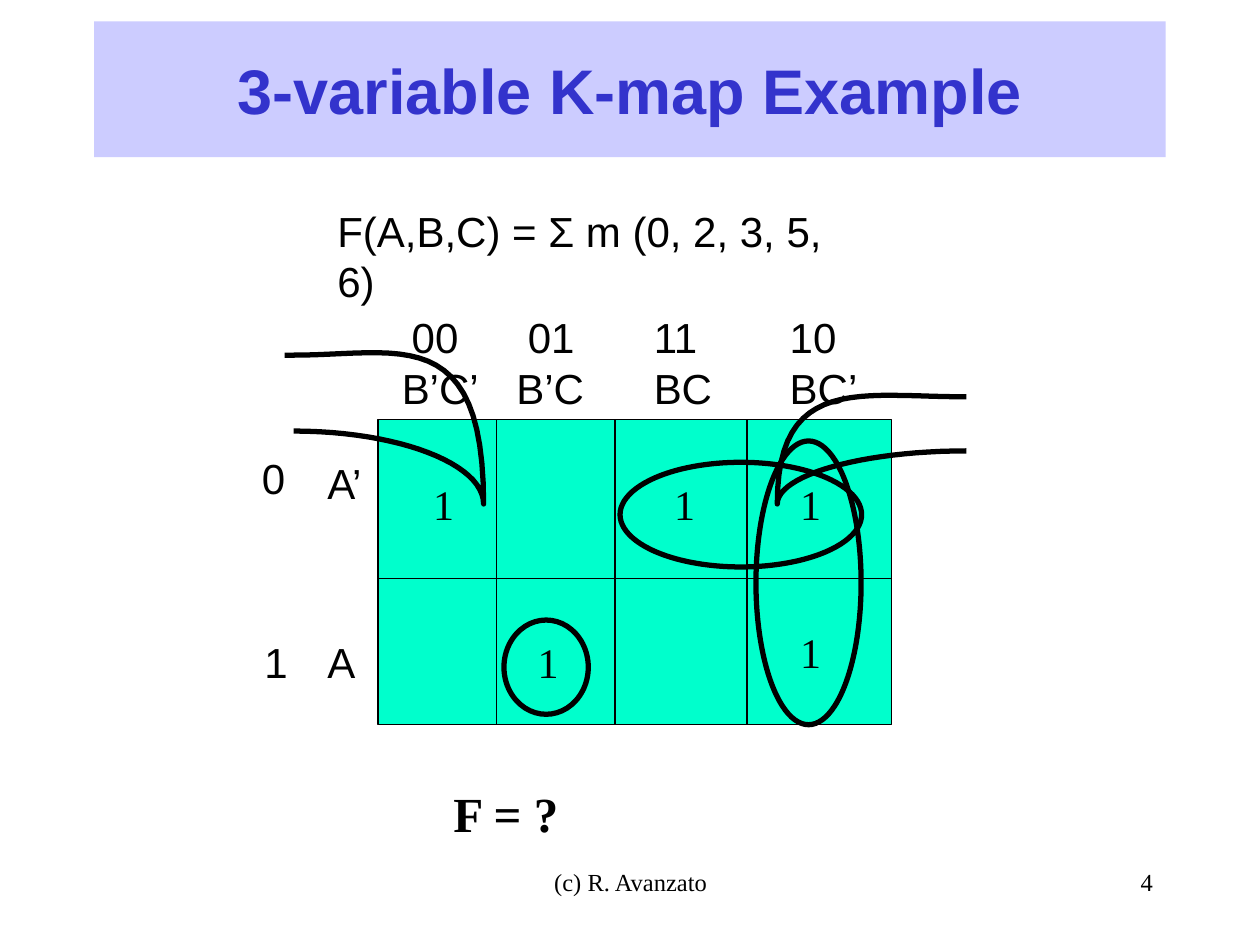
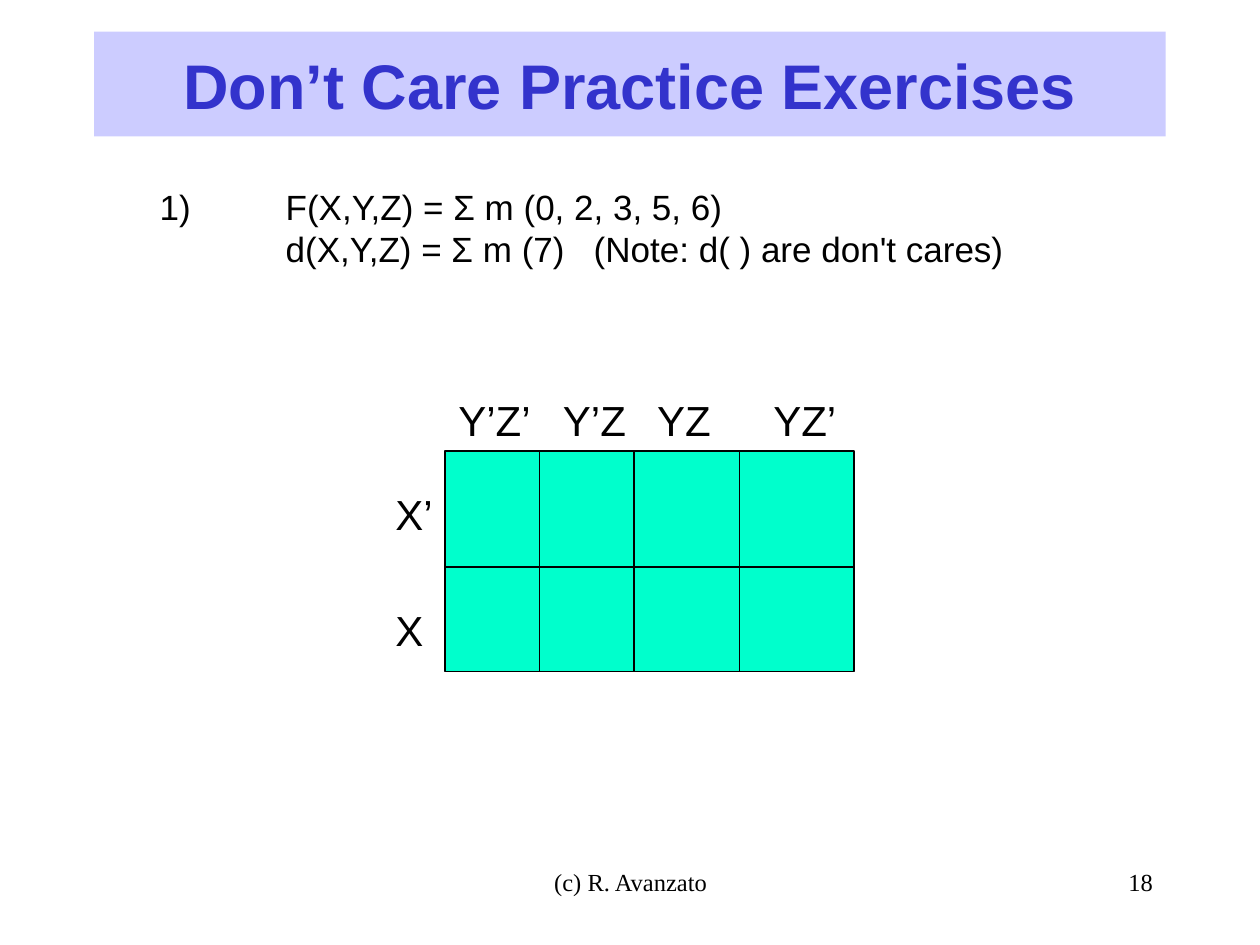
from lxml.etree import SubElement
from pptx import Presentation
from pptx.dml.color import RGBColor
from pptx.enum.shapes import MSO_CONNECTOR as CONN, MSO_SHAPE as SHAPE
from pptx.enum.text import MSO_ANCHOR as ANCHOR, PP_ALIGN as ALIGN
from pptx.oxml.ns import qn
from pptx.util import Cm, Pt

rgb = RGBColor.from_string
BLACK, BAND, TITLE, GRID = "000000", "CCCCFF", "3333CC", "00FFCC"
SANS, SERIF = "Arial", "Times New Roman"


def outline(sp, width, fill=None):
    sp.shadow.inherit = False
    if fill:
        sp.fill.solid()
        sp.fill.fore_color.rgb = rgb(fill)
    else:
        sp.fill.background()
    sp.line.color.rgb = rgb(BLACK)
    sp.line.width = Pt(width)


def add_text(s, text, x, y, w, h=1.27, size=24, font=SANS, color=BLACK, bold=False,
             align=ALIGN.LEFT, anchor=ANCHOR.TOP, wrap=False, fill=None, tabs=()):
    sp = s.shapes.add_textbox(Cm(x), Cm(y), Cm(w), Cm(h))
    if fill:
        sp.fill.solid()
        sp.fill.fore_color.rgb = rgb(fill)
    tf = sp.text_frame
    tf.word_wrap = wrap
    tf.vertical_anchor = anchor
    if not wrap:
        tf.margin_right = 0
    for i, line in enumerate(text.split("\n")):
        p = tf.paragraphs[0] if i == 0 else tf.add_paragraph()
        p.alignment = align
        r = p.add_run()
        r.text = line
        r.font.size = Pt(size)
        r.font.name = font
        r.font.bold = bold
        r.font.color.rgb = rgb(color)
        if tabs:
            tab_list = SubElement(p._p.get_or_add_pPr(), qn("a:tabLst"))
            for pos in tabs:
                SubElement(tab_list, qn("a:tab"), pos=str(Cm(pos)), algn="l")


prs = Presentation()
prs.slide_width, prs.slide_height = Cm(25.4), Cm(19.05)

pages = [
    ("3-variable K-map Example", "4", 0.43, 2.74,
     [7.62, 10.01, 12.4, 15.06, 17.98], [8.46, 11.66, 14.6]),
    ("Don’t Care Practice Exercises", "18", 0.64, 2.11,
     [8.97, 10.87, 12.78, 14.91, 17.22], [9.09, 11.43, 13.54]),
]
slides = []
for title, number, top, height, xs, ys in pages:
    s = prs.slides.add_slide(prs.slide_layouts[6])
    slides.append(s)
    add_text(s, "(c) R. Avanzato", 8.69, 17.35, 8.05, size=14, font=SERIF,
             align=ALIGN.CENTER, wrap=True)
    add_text(s, number, 18.21, 17.35, 5.28, size=14, font=SERIF,
             align=ALIGN.RIGHT, wrap=True)
    add_text(s, title, 1.9, top, 21.6, height, size=36, color=TITLE, bold=True,
             align=ALIGN.CENTER, anchor=ANCHOR.MIDDLE, wrap=True, fill=BAND)

    left, right, upper, lower = xs[0], xs[-1], ys[0], ys[-1]
    sp = s.shapes.add_shape(SHAPE.RECTANGLE, Cm(left), Cm(upper),
                            Cm(right - left), Cm(lower - upper))
    outline(sp, 0.75, GRID)
    rules = [(left, y, right, y) for y in ys[1:-1]]
    rules += [(x, upper, x, lower) for x in xs[1:-1]]
    for ends in rules:
        cx = s.shapes.add_connector(CONN.STRAIGHT, *[Cm(v) for v in ends])
        cx.line.color.rgb = rgb(BLACK)
        cx.line.width = Pt(0.75)
        SubElement(cx._element.spPr, qn("a:effectLst"))

kmap, practice = slides

add_text(kmap, "F(A,B,C) = Σ m (0, 2, 3, 5, 6)", 6.55, 4.01, 11.23, wrap=True)
add_text(kmap, "F = ?", 8.89, 15.67, 2.64, 1.45, size=28, font=SERIF, bold=True)

columns = [("00", 8.05, "B’C’", 7.85, 2.06), ("01", 10.39, "B’C", 10.16, 1.85),
           ("11", 12.93, "BC", 12.93, 1.68), ("10", 15.67, "BC’", 15.67, 1.85)]
for bits, bits_x, term, term_x, term_w in columns:
    add_text(kmap, bits, bits_x, 6.15, 1.45)
    add_text(kmap, term, term_x, 7.19, term_w)
for text, x, y, w in [("0", 5.03, 8.99, 0.97), ("A’", 6.35, 9.09, 1.24),
                      ("1", 5.08, 12.7, 0.97), ("A", 6.35, 12.7, 1.07)]:
    add_text(kmap, text, x, y, w)

minterms = [(8.48, 9.53), (13.34, 9.53), (15.88, 9.53), (10.59, 12.7), (15.88, 12.5)]
for x, y in minterms:
    add_text(kmap, "1", x, y, 0.91, font=SERIF)

loops = [(10.16, 12.5, 1.7, 1.9), (12.5, 9.32, 4.87, 2.11), (15.24, 8.89, 2.12, 5.72)]
for box in loops:
    outline(kmap.shapes.add_shape(SHAPE.OVAL, *[Cm(v) for v in box]), 3)

wraparounds = [
    [((5.92, 8.69), (8.03, 8.69), (9.75, 9.35), (9.75, 10.16)),
     ((9.75, 10.16), (9.75, 6.48), (8.03, 7.16), (5.92, 7.16)),
     ((5.92, 7.16), (5.87, 7.16), (5.82, 7.16), (5.74, 7.16))],
    [((19.48, 9.09), (17.37, 9.09), (15.67, 9.58), (15.67, 10.16)),
     ((15.67, 10.16), (15.67, 7.54), (17.37, 8), (19.48, 8))],
]
STEPS = 24
for curves in wraparounds:
    points = []
    for curve in curves:
        for k in range(1, STEPS + 1):
            t = k / STEPS
            weights = ((1 - t) ** 3, 3 * t * (1 - t) ** 2, 3 * t * t * (1 - t), t ** 3)
            points.append([Cm(sum(w * pt[axis] for w, pt in zip(weights, curve)))
                           for axis in (0, 1)])
    x, y = curves[0][0]
    fb = kmap.shapes.build_freeform(Cm(x), Cm(y))
    fb.add_line_segments(points, close=False)
    outline(fb.convert_to_shape(), 3)

add_text(practice, "1)\tF(X,Y,Z) = Σ m (0, 2, 3, 5, 6)\n"
         "\td(X,Y,Z) = Σ m (7)\t(Note: d( ) are don't cares)",
         2.97, 3.61, 18.21, 2.79, size=20, wrap=True, tabs=(2.54, 8.75))
for text, x, y, w in [("Y’Z’", 8.99, 7.82, 1.96), ("Y’Z", 11.1, 7.82, 1.78),
                      ("YZ", 13, 7.82, 1.57), ("YZ’", 15.34, 7.82, 1.78),
                      ("X’", 7.72, 9.73, 1.24), ("X", 7.72, 12.07, 1.07)]:
    add_text(practice, text, x, y, w)

prs.save("out.pptx")
